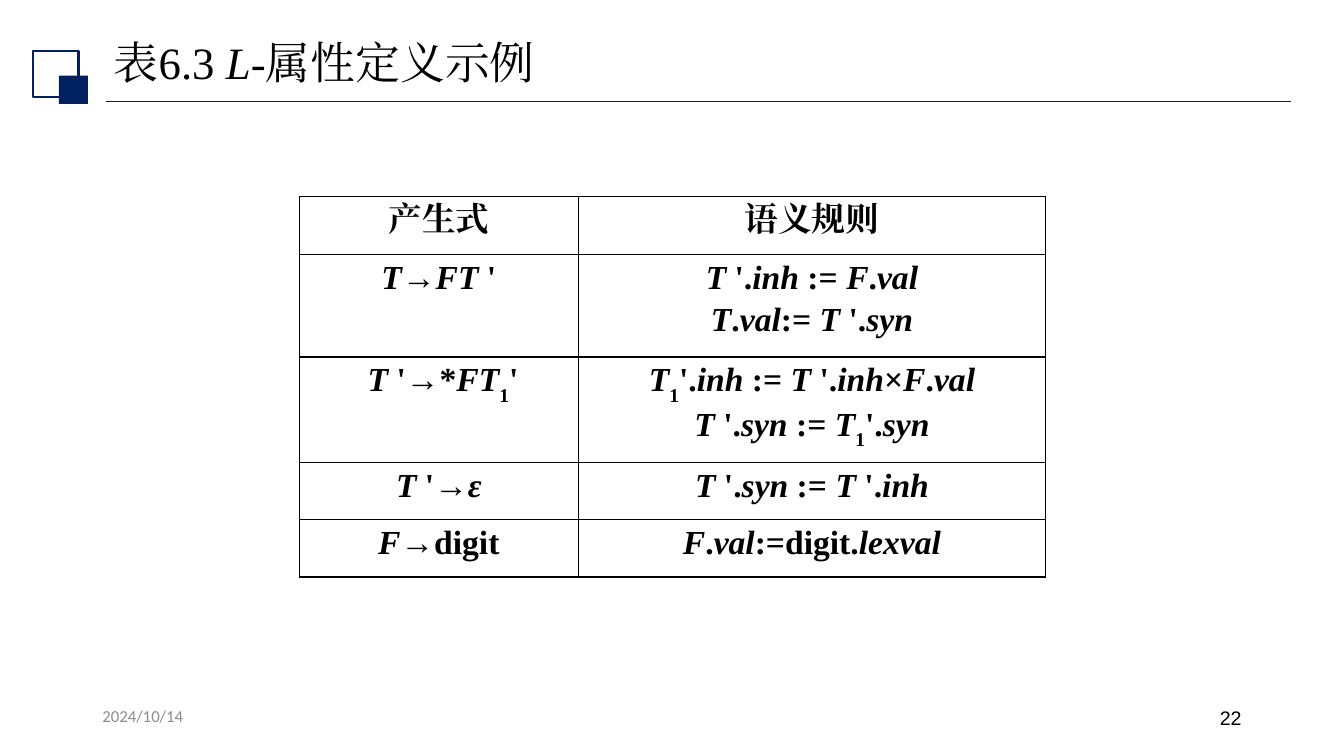
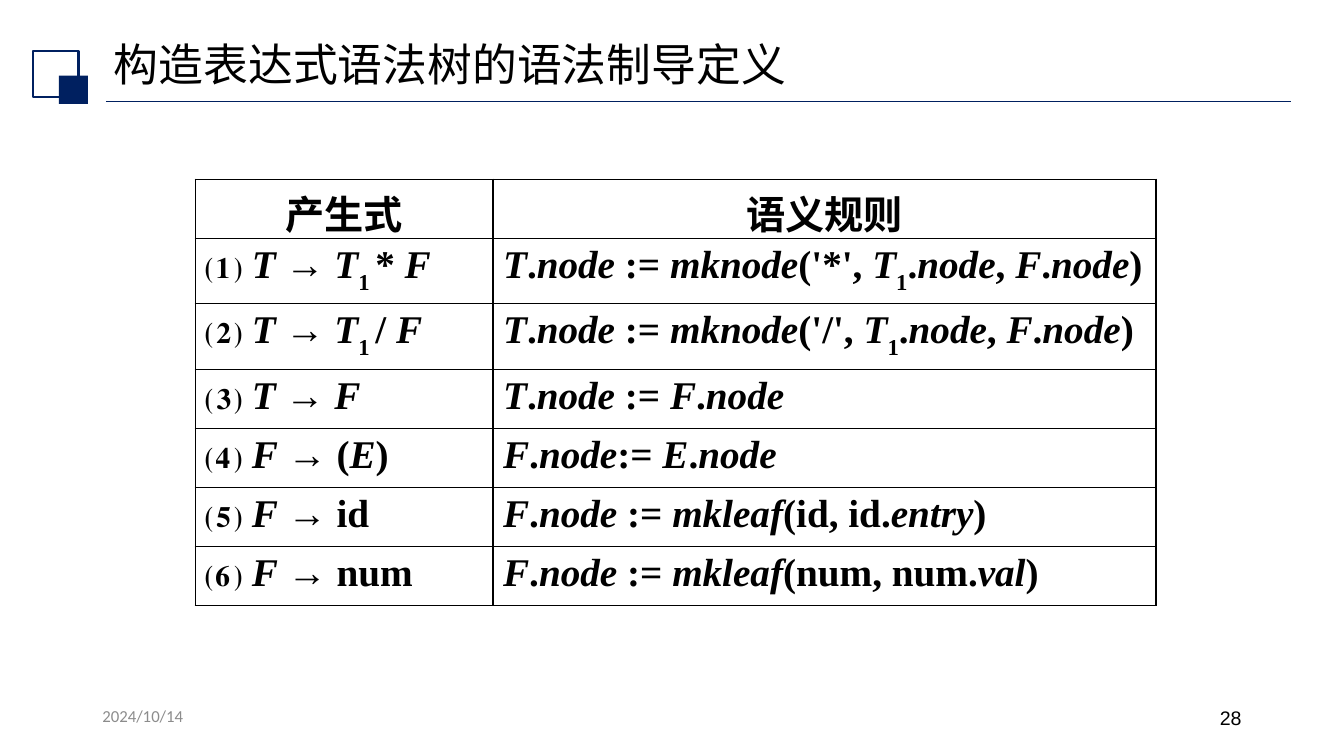
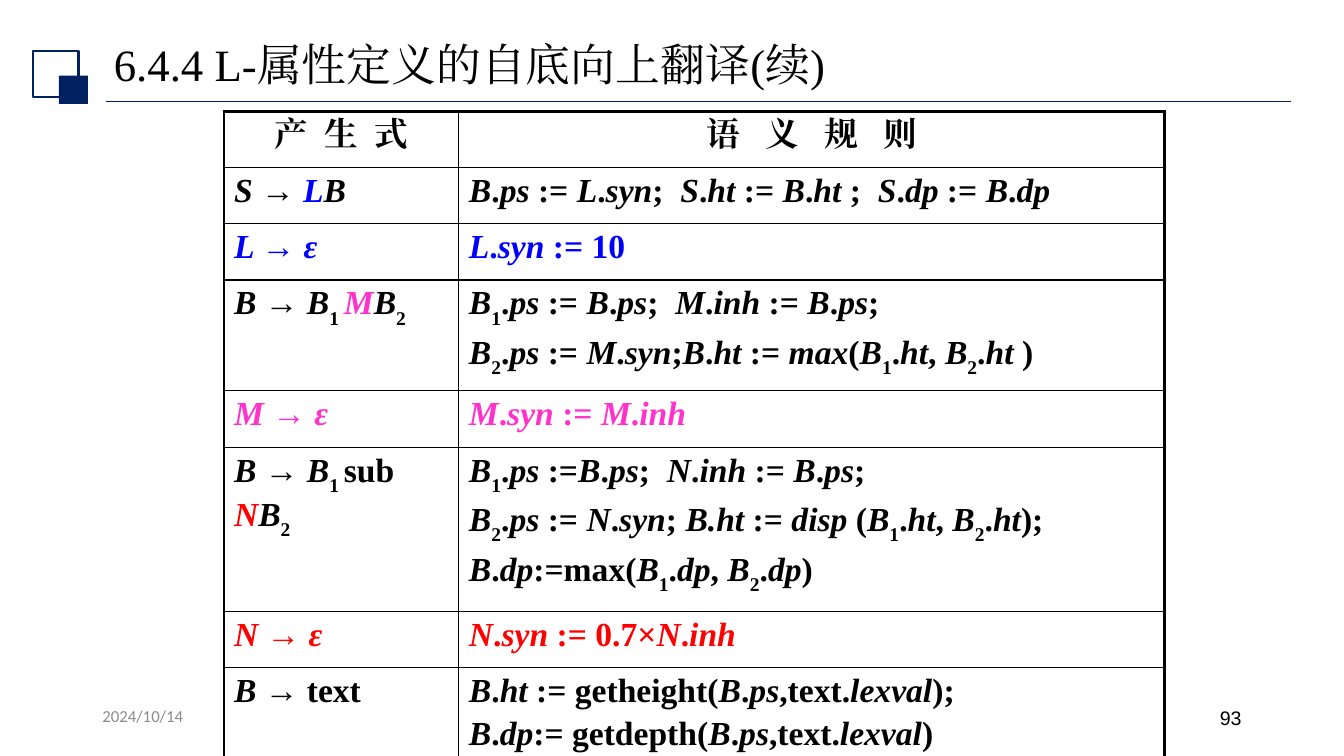
"""Build three slides of attribute-grammar tables with a shared title band and footer."""
from lxml.etree import SubElement
from pptx import Presentation
from pptx.dml.color import RGBColor
from pptx.enum.shapes import MSO_CONNECTOR as Connector, MSO_SHAPE as Shape
from pptx.enum.text import MSO_ANCHOR as Anchor, PP_ALIGN as Align
from pptx.oxml.ns import qn
from pptx.util import Pt

SERIF, SANS = "Times New Roman", "Noto Sans CJK SC"
NAVY, BLACK, GRAY = "002060", "000000", "8C8C8C"
BLUE, PINK, RED = "0000FF", "FF33CC", "FF0000"
DATE = "2024/10/14"


def color(code):
    """Turn a hex string into a colour."""
    return RGBColor.from_string(code)


def write(paragraph, text, font=SERIF, size=24, ink=BLACK, accent=BLACK,
          bold=False, align=Align.LEFT, spacing=0):
    """Write text where ~ toggles italic, {} is subscript and <> is accent colour."""
    paragraph.alignment = align
    italic = subscript = accented = False
    run = None
    for char in text:
        if char in "~{}<>":
            italic ^= char == "~"
            if char in "{}":
                subscript = char == "{"
            if char in "<>":
                accented = char == "<"
            run = None
            continue
        if run is None:
            run = paragraph.add_run()
            run.font.name, run.font.size = font, Pt(size)
            run.font.bold, run.font.italic = bold, italic
            run.font.color.rgb = color(accent if accented else ink)
            properties = run._r.get_or_add_rPr()
            SubElement(properties, qn("a:ea"), typeface=font)
            if subscript:
                properties.set("baseline", "-30000")
            if spacing:
                properties.set("spc", str(spacing * 100))
        run.text += char


SLIDES = [
    dict(
        number="22", title="表6.3 ~L~-属性定义示例", title_font=SERIF, anchor=Anchor.MIDDLE,
        left=214, top=140.5, columns=(199, 334), size=24, outer=1, align=Align.CENTER,
        header_font=SERIF, header=(("产生式", 0), ("语义规则", 0)), header_height=41,
        rows=[
            (73.5, 4, BLACK, "~T~→~FT ~'", ["~T ~'.~inh~ := ~F~.~val~", "~T~.~val~:=~ T ~'.~syn~"]),
            (73.5, 0, BLACK, "~ T ~'→*~FT~{1}'",
             ["~T~{1}'.~inh~ := ~T ~'.~inh~×~F~.~val~", "~T ~'.~syn ~:=~ T~{1}'.~syn~"]),
            (41, 0, BLACK, "~T ~'→~ε~", ["~T ~'.~syn~ := ~T ~'.~inh~"]),
            (41, 0, BLACK, "~F~→digit", ["~F~.~val~:=digit.~lexval~"]),
        ]),
    dict(
        number="28", title="构造表达式语法树的语法制导定义", title_font=SANS, anchor=Anchor.BOTTOM,
        left=139.5, top=128, columns=(212.7, 473.5), size=28, outer=1, align=Align.LEFT,
        header_font=SANS, header=(("产生式", 0), ("语义规则", 0)), header_height=42.2,
        rows=[
            (42.2, 0, BLACK, "⑴ ~T~ → ~T~{1 }* ~F~",
             ["~T~.~node~ := ~mknode~('*', ~T~{1}.~node~, ~F~.~node~)"]),
            (42.2, 0, BLACK, "⑵ ~T~ → ~T~{1 }/ ~F~",
             ["~T~.~node~ := ~mknode~('/', ~T~{1}.~node~, ~F~.~node~)"]),
            (42.2, 0, BLACK, "⑶ ~T~ → ~F~", ["~T~.~node~ := ~F~.~node~"]),
            (42.2, 0, BLACK, "⑷ ~F~ → (~E~)", ["~F~.~node~:= ~E~.~node~"]),
            (42.2, 0, BLACK, "⑸ ~F~ → id", ["~F~.~node~ := ~mkleaf~(id, id.~entry~)"]),
            (42.2, 0, BLACK, "⑹ ~F~ → num", ["~F~.~node~ := ~mkleaf~(num, num.~val~)"]),
        ]),
    dict(
        number="93", title="6.4.4 L-属性定义的自底向上翻译(续)", title_font=SERIF, anchor=Anchor.BOTTOM,
        left=160, top=79.4, columns=(167.8, 504), size=24, outer=2.25, align=Align.LEFT,
        header_font=SERIF, header=(("产 生 式", 3), ("语 义 规 则", 6)), header_height=40.2,
        rows=[
            (40.2, 4, BLUE, "~S ~→ ~<L>B~",
             ["~B~.~ps~ := ~L~.~syn~;  ~S~.~ht~ := ~B~.~ht~ ;  ~S~.~dp~ := ~B~.~dp~"]),
            (40.2, 4, BLUE, "<~L ~→ ~ε~>", ["<~L~.~syn ~:= 10>"]),
            (70.6, 4, PINK, "~B ~→~ B~{1 }~<M>B~{2}",
             ["~B~{1}.~ps~ := ~B~.~ps~;  ~M~.~inh~ := ~B~.~ps~;",
              "~B~{2}.~ps~ :=~ M~.~syn~;~B~.~ht~ := ~max~(~B~{1}.~ht~, ~B~{2}.~ht ~)"]),
            (40.2, 4, PINK, "<~M ~→ ~ε~>", ["<~M~.~syn ~:= ~M~.~inh~>"]),
            (105, 4, RED, "~B ~→~ B~{1 }sub ~<N>B~{2}",
             ["~B~{1}.~ps~ :=~B~.~ps~;  ~N~.~inh~ := ~B~.~ps~;",
              "~B~{2}.~ps~ := ~N~.~syn~; ~B.ht~ := ~disp~ (~B~{1}.~ht~, ~B~{2}.~ht~);",
              "~B~.~dp~:=max(~B~{1}.~dp~, ~B~{2}.~dp~)"]),
            (40.2, 4, RED, "<~N ~→ ~ε~>", ["<~N~.~syn ~:= 0.7×~N~.~inh~>"]),
            (70.6, 4, BLACK, "~B ~→ text",
             ["~B~.~ht~ := getheight(~B~.~ps~,text.~lexval~);",
              "~B~.~dp~:= getdepth(~B~.~ps~,text.~lexval~)"]),
        ]),
]

presentation = Presentation()
presentation.slide_width, presentation.slide_height = Pt(960), Pt(540)

for content in SLIDES:
    slide = presentation.slides.add_slide(presentation.slide_layouts[6])
    shapes = slide.shapes

    rule = shapes.add_connector(Connector.STRAIGHT, Pt(75.6), Pt(72.5), Pt(922.5), Pt(72.5))
    rule.line.color.rgb, rule.line.width = color(NAVY), Pt(1.25)
    SubElement(rule._element.spPr, qn("a:effectLst"))

    frame = shapes.add_shape(Shape.RECTANGLE, Pt(23.6), Pt(36.5), Pt(32.5), Pt(32.5))
    frame.fill.background()
    frame.line.color.rgb, frame.line.width = color(NAVY), Pt(1.5)
    block = shapes.add_shape(Shape.RECTANGLE, Pt(42), Pt(54), Pt(20.8), Pt(20.3))
    block.fill.solid()
    block.fill.fore_color.rgb = color(NAVY)
    block.line.fill.background()
    for square in (frame, block):
        square.shadow.inherit = False

    for text, box, anchor, line_spacing, style in (
        (content["title"], (74.2, 24.5, 828, 44), content["anchor"], 0.9,
         dict(font=content["title_font"], size=32)),
        (DATE, (66, 500.5, 216, 28.8), Anchor.TOP, 1, dict(font="Calibri", size=12, ink=GRAY)),
        (content["number"], (678, 500.5, 216, 28.8), Anchor.TOP, 1,
         dict(font="Arial", size=14, align=Align.RIGHT)),
    ):
        text_frame = shapes.add_textbox(*map(Pt, box)).text_frame
        text_frame.word_wrap, text_frame.vertical_anchor = True, anchor
        text_frame.paragraphs[0].line_spacing = line_spacing
        write(text_frame.paragraphs[0], text, **style)

    rows, columns = content["rows"], content["columns"]
    heights = [content["header_height"]] + [row[0] for row in rows]
    table = shapes.add_table(len(heights), len(columns), Pt(content["left"]), Pt(content["top"]),
                             Pt(sum(columns)), Pt(sum(heights))).table
    table.first_row = table.horz_banding = False
    for column, width in zip(table.columns, columns):
        column.width = Pt(width)

    for row_index, height in enumerate(heights):
        table.rows[row_index].height = Pt(height)
        for column_index in range(len(columns)):
            cell = table.cell(row_index, column_index)
            edges = {"L": column_index == 0, "R": column_index == len(columns) - 1,
                     "T": row_index == 0, "B": row_index == len(heights) - 1}
            for side, is_outer in edges.items():
                width = Pt(content["outer"] if is_outer else 1)
                border = SubElement(cell._tc.get_or_add_tcPr(), qn(f"a:ln{side}"), w=str(width))
                SubElement(SubElement(border, qn("a:solidFill")), qn("a:srgbClr"), val=BLACK)
            cell.fill.background()

            style = dict(size=content["size"], bold=True)
            if row_index == 0:
                text, spacing = content["header"][column_index]
                write(cell.text_frame.paragraphs[0], text, font=content["header_font"],
                      align=Align.CENTER, spacing=spacing, **style)
                continue
            _, gap, accent, production, rules = rows[row_index - 1]
            for line_index, line in enumerate(rules if column_index else [production]):
                paragraph = cell.text_frame.paragraphs[0]
                if line_index:
                    paragraph = cell.text_frame.add_paragraph()
                    paragraph.space_before = Pt(gap)
                write(paragraph, line, accent=accent, align=content["align"], **style)

presentation.save("out.pptx")
